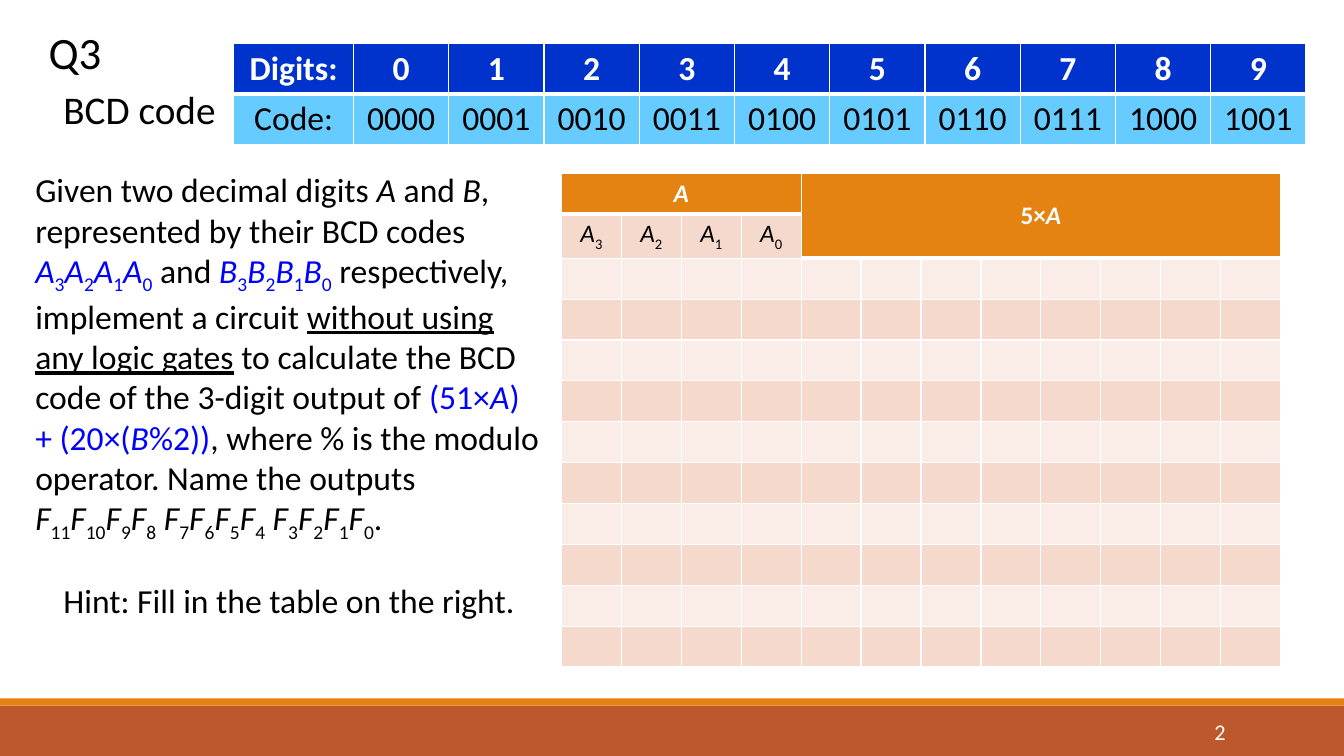
from dataclasses import dataclass, replace

from lxml import etree
from pptx import Presentation
from pptx.dml.color import RGBColor
from pptx.enum import shapes, text
from pptx.oxml import ns
from pptx.util import Cm, Pt

FONT = "Calibri"
BLACK = RGBColor(0x00, 0x00, 0x00)
WHITE = RGBColor(0xFF, 0xFF, 0xFF)
BLUE = RGBColor(0x00, 0x00, 0xFF)
NAVY = RGBColor(0x00, 0x33, 0xCC)
SKY = RGBColor(0x66, 0xCC, 0xFF)
ORANGE = RGBColor(0xE4, 0x83, 0x12)
RUST = RGBColor(0xBD, 0x58, 0x2C)
PEACH = RGBColor(0xF5, 0xD9, 0xCC)
PALE_PEACH = RGBColor(0xFA, 0xED, 0xE7)

SLIDE_W, SLIDE_H = 33.87, 19.05
THIN, THICK = 1, 3


@dataclass(frozen=True)
class Box:
    left: float
    top: float
    width: float
    height: float

    def emu(self) -> tuple:
        return Cm(self.left), Cm(self.top), Cm(self.width), Cm(self.height)


@dataclass(frozen=True)
class Run:
    text: str
    color: RGBColor = BLACK
    italic: bool = False
    underline: bool = False
    subscript: bool = False
    bold: bool = False


@dataclass(frozen=True)
class Label:
    box: Box
    runs: list
    size: int
    align: text.PP_ALIGN = text.PP_ALIGN.LEFT
    anchor: text.MSO_ANCHOR = text.MSO_ANCHOR.TOP


def indexed(letter: str, indices: list, color: RGBColor = BLACK) -> list:
    """Return the runs of a variable repeated with each subscript."""
    return [run for i in indices
            for run in (Run(letter, color, italic=True),
                        Run(str(i), color, subscript=True))]


def write_runs(p, runs: list, size: int, align: text.PP_ALIGN) -> None:
    p.alignment = align
    for run in runs:
        r = p.add_run()
        r.text = run.text
        r.font.name = FONT
        r.font.size = Pt(size)
        r.font.color.rgb = run.color
        r.font.bold = run.bold
        r.font.italic = run.italic
        r.font.underline = run.underline
        if run.subscript:
            r.font._element.set("baseline", "-25000")


def add_label(s, label: Label) -> None:
    sp = s.shapes.add_textbox(*label.box.emu())
    tf = sp.text_frame
    tf.word_wrap = True
    tf.vertical_anchor = label.anchor
    write_runs(tf.paragraphs[0], label.runs, label.size, label.align)


def add_bar(s, box: Box, color: RGBColor) -> None:
    sp = s.shapes.add_shape(shapes.MSO_SHAPE.RECTANGLE, *box.emu())
    sp.shadow.inherit = False
    sp.fill.solid()
    sp.fill.fore_color.rgb = color
    sp.line.fill.background()


def add_table(s, left: float, top: float, widths: list, heights: list):
    box = Box(left, top, sum(widths), sum(heights))
    table = s.shapes.add_table(len(heights), len(widths), *box.emu()).table
    for column, width in zip(table.columns, widths):
        column.width = Cm(width)
    for row, height in zip(table.rows, heights):
        row.height = Cm(height)
    return table


def style_cell(cell, fill: RGBColor, top: int = THIN, bottom: int = THIN) -> None:
    """Fill the cell and give it white borders."""
    cell.fill.solid()
    cell.fill.fore_color.rgb = fill
    tc_pr = cell._tc.get_or_add_tcPr()
    borders = {"a:lnL": THIN, "a:lnR": THIN, "a:lnT": top, "a:lnB": bottom}
    for i, (tag, width) in enumerate(borders.items()):
        ln = etree.Element(ns.qn(tag), w=str(Pt(width)))
        solid = etree.SubElement(ln, ns.qn("a:solidFill"))
        etree.SubElement(solid, ns.qn("a:srgbClr"), val=str(WHITE))
        tc_pr.insert(i, ln)


def write_cell(cell, runs: list, size: int) -> None:
    write_runs(cell.text_frame.paragraphs[0], runs, size, text.PP_ALIGN.CENTER)


def add_code_table(s) -> None:
    table = add_table(s, 5.89, 1.09, [3.02] + [2.4] * 10, [1.27] * 2)
    digits = ["Digits:"] + [str(d) for d in range(10)]
    codes = ["Code:"] + [f"{d:04b}" for d in range(10)]
    for col, (digit, code) in enumerate(zip(digits, codes)):
        head, body = table.cell(0, col), table.cell(1, col)
        style_cell(head, NAVY, bottom=THICK)
        style_cell(body, SKY, top=THICK)
        write_cell(head, [Run(digit, WHITE, bold=True)], 24)
        write_cell(body, [Run(code)], 24)


def add_answer_table(s) -> None:
    bits, columns, blank_rows = 4, 12, 10
    table = add_table(s, 14.15, 4.37, [1.51] * columns,
                      [0.99, 1.12] + [1.03] * blank_rows)
    product = table.cell(0, bits)
    table.cell(0, 0).merge(table.cell(0, bits - 1))
    product.merge(table.cell(1, columns - 1))

    for col in range(columns):
        in_product = col >= bits
        style_cell(table.cell(0, col), ORANGE, bottom=THICK)
        style_cell(table.cell(1, col), ORANGE if in_product else PEACH,
                   top=THICK, bottom=THICK if in_product else THIN)
        for row in range(2, 2 + blank_rows):
            style_cell(table.cell(row, col), PEACH if row % 2 else PALE_PEACH,
                       top=THICK if row == 2 and in_product else THIN)

    a = Run("A", WHITE, italic=True, bold=True)
    write_cell(table.cell(0, 0), [a], 18)
    write_cell(product, [replace(a, text="5×", italic=False), a], 18)
    product.vertical_anchor = text.MSO_ANCHOR.MIDDLE
    for col in range(bits):
        write_cell(table.cell(1, col), indexed("A", [bits - 1 - col]), 18)


def add_title(s) -> None:
    sp = s.shapes.title
    sp.left, sp.top, sp.width, sp.height = Box(0.97, 0.66, 2.51, 1.6).emu()
    tf = sp.text_frame
    tf.auto_size = text.MSO_AUTO_SIZE.NONE
    tf.vertical_anchor = text.MSO_ANCHOR.TOP
    p = tf.paragraphs[0]
    p.line_spacing = 0.9
    write_runs(p, [Run("Q3")], 32, text.PP_ALIGN.LEFT)


QUESTION = [
    Run("Given two decimal digits "), Run("A", italic=True),
    Run(" and "), Run("B", italic=True),
    Run(", represented by their BCD codes "),
    *indexed("A", [3, 2, 1, 0], BLUE), Run(" and "),
    *indexed("B", [3, 2, 1, 0], BLUE),
    Run(" respectively, implement a circuit "),
    Run("without using any logic gates", underline=True),
    Run(" to calculate the BCD code of the 3-digit output of "),
    Run("(51×", BLUE), Run("A", BLUE, italic=True),
    Run(") + (20×(", BLUE), Run("B", BLUE, italic=True), Run("%2))", BLUE),
    Run(", where % is the modulo operator. Name the outputs "),
    *indexed("F", [11, 10, 9, 8]), Run(" "),
    *indexed("F", [7, 6, 5, 4]), Run(" "),
    *indexed("F", [3, 2, 1, 0]), Run("."),
]

LABELS = [
    Label(Box(1.35, 2.03, 4.78, 1.45), [Run("BCD code")], 28),
    Label(Box(0.64, 4.14, 13.26, 9.5), QUESTION, 24),
    Label(Box(1.35, 14.48, 12.24, 1.27),
          [Run("Hint: Fill in the table on the right.")], 24),
    Label(Box(27.51, 17.93, 3.63, 1.02), [Run("2", WHITE)], 16,
          text.PP_ALIGN.RIGHT, text.MSO_ANCHOR.MIDDLE),
]


def main() -> None:
    prs = Presentation()
    prs.slide_width, prs.slide_height = Cm(SLIDE_W), Cm(SLIDE_H)
    s = prs.slides.add_slide(prs.slide_layouts[5])
    add_bar(s, Box(0, 17.78, SLIDE_W, 1.27), RUST)
    add_bar(s, Box(0, 17.6, SLIDE_W, 0.18), ORANGE)
    add_title(s)
    for label in LABELS:
        add_label(s, label)
    add_code_table(s)
    add_answer_table(s)
    prs.save("out.pptx")


if __name__ == "__main__":
    main()
